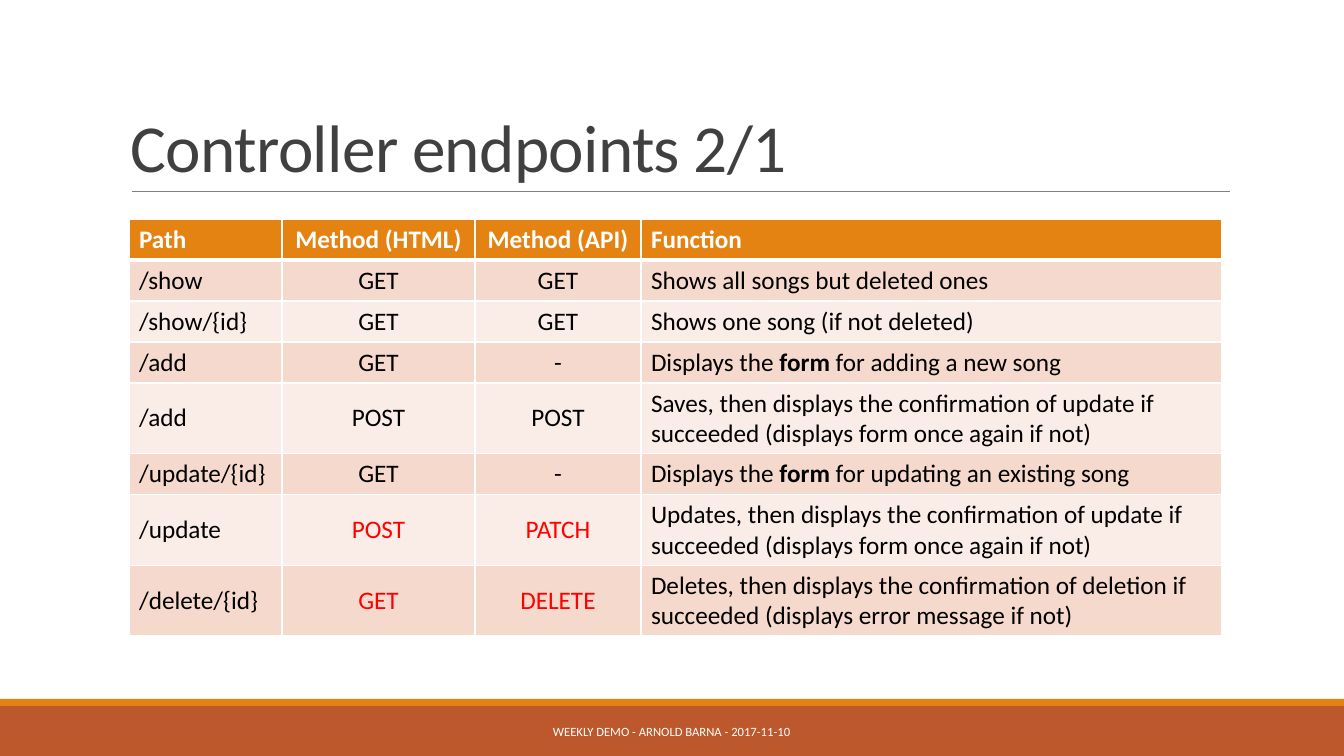
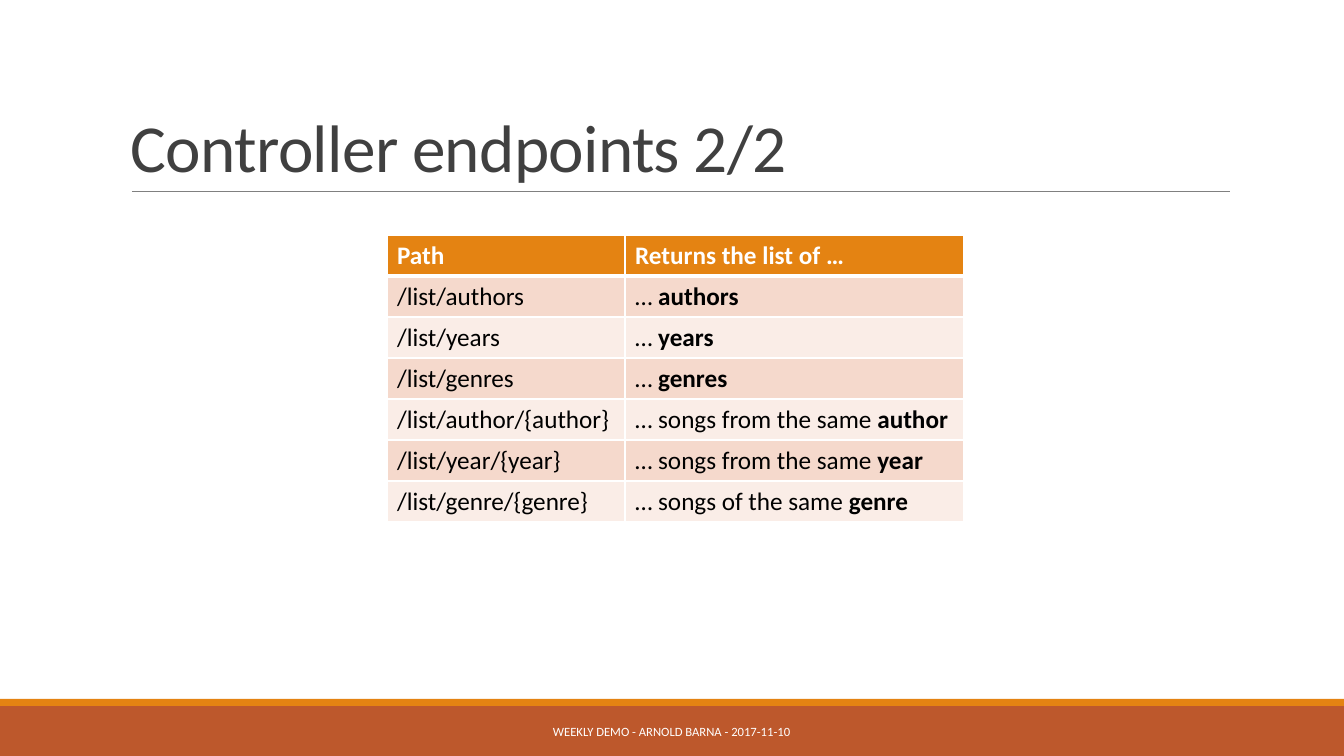
from dataclasses import dataclass

from lxml.etree import SubElement
from pptx import Presentation
from pptx.dml.color import RGBColor
from pptx.enum.shapes import MSO_CONNECTOR, MSO_SHAPE
from pptx.enum.text import MSO_ANCHOR, PP_ALIGN
from pptx.oxml.ns import qn
from pptx.util import Emu, Pt


@dataclass(frozen=True)
class Theme:
    """Colours, font and type sizes shared by the slides."""
    font: str = "Calibri"
    title_size: float = 48
    table_size: float = 18
    footer_size: float = 9
    white: str = "FFFFFF"
    black: str = "000000"
    title: str = "404040"
    rule: str = "808080"
    band: str = "BD582C"
    accent: str = "E48312"
    odd_row: str = "F5D9CC"
    even_row: str = "FAEDE7"
    alert: str = "FF0000"


@dataclass(frozen=True)
class Box:
    """A region of the slide in px."""
    left: int
    top: int
    width: int
    height: int

    def emu(self):
        """Return the four lengths in EMU."""
        return [px(length) for length in (self.left, self.top, self.width, self.height)]


@dataclass(frozen=True)
class Endpoints:
    """Content and geometry of one endpoint table slide; ** marks bold text."""
    title: str
    left: int
    top: int
    column_widths: tuple
    centred_columns: tuple
    alert_rows: tuple
    rows: tuple


THEME = Theme()
SLIDE = Box(0, 0, 1344, 756)
EMU_PER_PX = 12192000 / SLIDE.width
ROW_HEIGHT = 41
FOOTER_TEXT = "WEEKLY DEMO - ARNOLD BARNA - 2017-11-10"

SLIDES = (
    Endpoints(
        "Controller endpoints 2/1", 129, 219, (153, 193, 166, 581), (1, 2), (6, 7),
        (
            ("Path", "Method (HTML)", "Method (API)", "Function"),
            ("/show", "GET", "GET", "Shows all songs but deleted ones"),
            ("/show/{id}", "GET", "GET", "Shows one song (if not deleted)"),
            ("/add", "GET", "-", "Displays the **form** for adding a new song"),
            ("/add", "POST", "POST", "Saves, then displays the confirmation of update if "
             "succeeded (displays form once again if not)"),
            ("/update/{id}", "GET", "-", "Displays the **form** for updating an existing song"),
            ("/update", "POST", "PATCH", "Updates, then displays the confirmation of update if "
             "succeeded (displays form once again if not)"),
            ("/delete/{id}", "GET", "DELETE", "Deletes, then displays the confirmation of deletion if "
             "succeeded (displays error message if not)"),
        ),
    ),
    Endpoints(
        "Controller endpoints 2/2", 387, 235, (238, 339), (), (),
        (
            ("Path", "Returns the list of …"),
            ("/list/authors", "… **authors**"),
            ("/list/years", "… **years**"),
            ("/list/genres", "… **genres**"),
            ("/list/author/{author}", "… songs from the same **author**"),
            ("/list/year/{year}", "… songs from the same **year**"),
            ("/list/genre/{genre}", "… songs of the same **genre**"),
        ),
    ),
)


def px(length):
    """Turn px into EMU."""
    return Emu(round(length * EMU_PER_PX))


def colour(value):
    """Turn a hex string into a colour."""
    return RGBColor.from_string(value)


def add_run(paragraph, text, size, text_colour, bold=False):
    """Add one styled run."""
    run = paragraph.add_run()
    run.text = text
    run.font.name = THEME.font
    run.font.size = Pt(size)
    run.font.bold = bold
    run.font.color.rgb = colour(text_colour)
    return run


def add_text_box(slide, box, anchor):
    """Add a wrapping text box and return its first paragraph."""
    frame = slide.shapes.add_textbox(*box.emu()).text_frame
    frame.word_wrap = True
    frame.vertical_anchor = anchor
    return frame.paragraphs[0]


def add_band(slide, box, fill):
    """Add a plain coloured band."""
    band = slide.shapes.add_shape(MSO_SHAPE.RECTANGLE, *box.emu())
    band.shadow.inherit = False
    band.fill.solid()
    band.fill.fore_color.rgb = colour(fill)
    band.line.fill.background()


def add_footer(slide, box):
    """Place the footer band, its accent strip and the footer text."""
    add_band(slide, box, THEME.band)
    add_band(slide, Box(box.left, box.top - 7, box.width, 7), THEME.accent)
    paragraph = add_text_box(slide, Box(box.left + 406, box.top + 6, 531, 40), MSO_ANCHOR.MIDDLE)
    paragraph.alignment = PP_ALIGN.CENTER
    add_run(paragraph, FOOTER_TEXT, THEME.footer_size, THEME.white)


def add_title(slide, box, text):
    """Place the title on the bottom of its box with a thin rule below."""
    paragraph = add_text_box(slide, box, MSO_ANCHOR.BOTTOM)
    paragraph.line_spacing = 0.85
    run = add_run(paragraph, text, THEME.title_size, THEME.title)
    run.font._element.set("spc", "-50")
    left, bottom = px(box.left + 11), px(box.top + box.height)
    rule = slide.shapes.add_connector(
        MSO_CONNECTOR.STRAIGHT, left, bottom, px(box.left + box.width), bottom)
    rule.line.color.rgb = colour(THEME.rule)
    rule.line.width = Pt(0.5)
    SubElement(rule._element.spPr, qn("a:effectLst"))


def style_cell(cell, row_index):
    """Set the white borders and the fill of a cell by its row."""
    properties = cell._tc.get_or_add_tcPr()
    widths = {"lnL": 1, "lnR": 1, "lnT": 3 if row_index == 1 else 1, "lnB": 3 if row_index == 0 else 1}
    for side, width in widths.items():
        border = SubElement(properties, qn(f"a:{side}"), w=str(Pt(width)))
        SubElement(SubElement(border, qn("a:solidFill")), qn("a:srgbClr"), val=THEME.white)
    cell.fill.solid()
    row_fill = THEME.odd_row if row_index % 2 else THEME.even_row
    cell.fill.fore_color.rgb = colour(row_fill if row_index else THEME.accent)


def add_endpoint_table(slide, box, endpoints):
    """Place the endpoint table in its box."""
    rows, widths = endpoints.rows, endpoints.column_widths
    table = slide.shapes.add_table(len(rows), len(widths), *box.emu()).table
    table.horz_banding = False
    for column, width in zip(table.columns, widths):
        column.width = px(width)
    for row_index, texts in enumerate(rows):
        table.rows[row_index].height = px(ROW_HEIGHT)
        for column_index, text in enumerate(texts):
            cell = table.cell(row_index, column_index)
            style_cell(cell, row_index)
            is_header = row_index == 0
            is_centred = column_index in endpoints.centred_columns
            is_last = column_index == len(widths) - 1
            cell.vertical_anchor = MSO_ANCHOR.TOP if is_header or is_last else MSO_ANCHOR.MIDDLE
            paragraph = cell.text_frame.paragraphs[0]
            paragraph.alignment = PP_ALIGN.CENTER if is_centred else PP_ALIGN.LEFT
            text_colour = THEME.white if is_header else THEME.black
            if is_centred and row_index in endpoints.alert_rows:
                text_colour = THEME.alert
            for part_index, part in enumerate(text.split("**")):
                if part:
                    bold = is_header or part_index % 2 == 1
                    add_run(paragraph, part, THEME.table_size, text_colour, bold)


def add_endpoint_slide(presentation, endpoints):
    """Add one slide with footer, title and endpoint table."""
    slide = presentation.slides.add_slide(presentation.slide_layouts[6])
    add_footer(slide, Box(0, SLIDE.height - 50, SLIDE.width, 50))
    add_title(slide, Box(121, 31, 1109, 160), endpoints.title)
    table_box = Box(endpoints.left, endpoints.top,
                    sum(endpoints.column_widths), ROW_HEIGHT * len(endpoints.rows))
    add_endpoint_table(slide, table_box, endpoints)


def main():
    """Build and save the presentation."""
    presentation = Presentation()
    presentation.slide_width = px(SLIDE.width)
    presentation.slide_height = px(SLIDE.height)
    for endpoints in SLIDES:
        add_endpoint_slide(presentation, endpoints)
    presentation.save("out.pptx")


if __name__ == "__main__":
    main()
